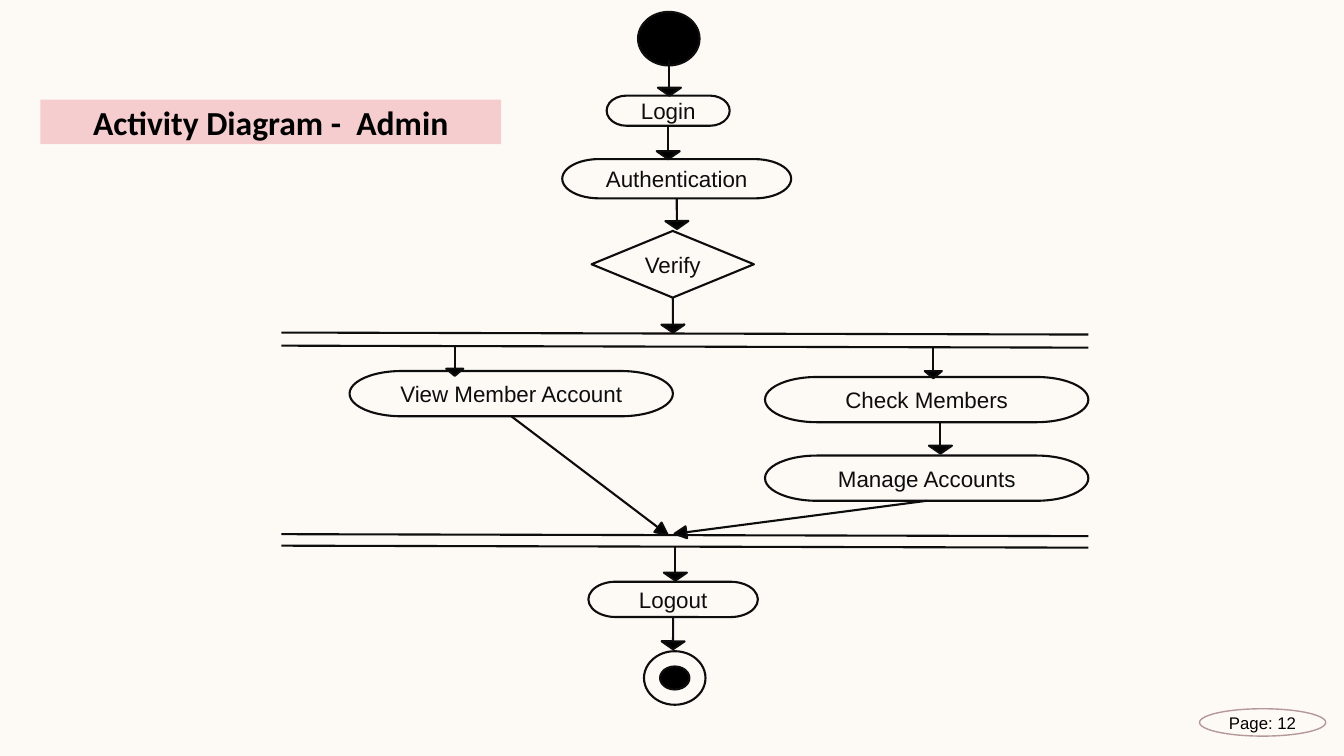
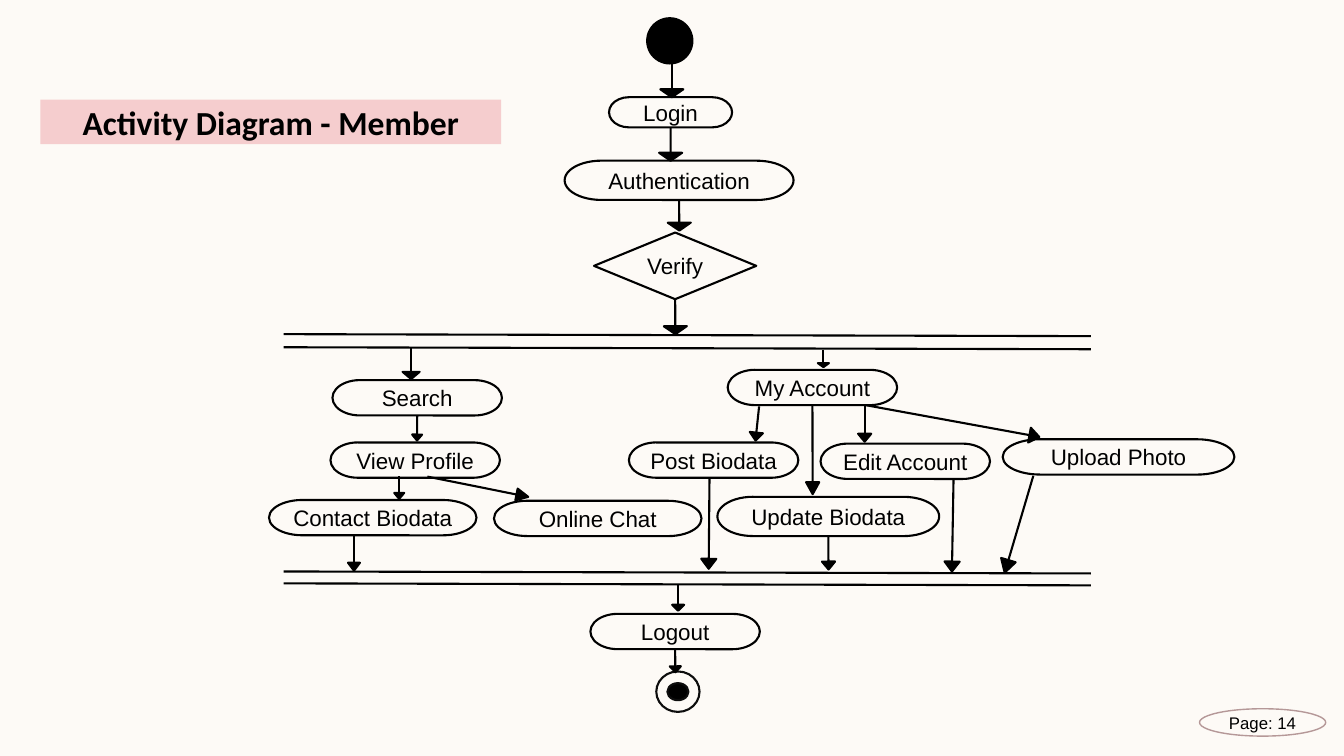
import math

import pptx
import pptx.util
import pptx.dml.color
import pptx.enum.shapes
import pptx.enum.text
import pptx.oxml.ns
from lxml import etree

Cm, Pt = pptx.util.Cm, pptx.util.Pt
SHAPE = pptx.enum.shapes.MSO_SHAPE
MIDDLE = pptx.enum.text.MSO_ANCHOR.MIDDLE
CENTER = pptx.enum.text.PP_ALIGN.CENTER
BOTTOM_SIDE = 2

COLORS = {
    name: pptx.dml.color.RGBColor.from_string(value)
    for name, value in {
        "paper": "FDFAF6",
        "title band": "F5CDCE",
        "page ring": "B59898",
        "black": "000000",
        "soft black": "0D0D0D",
    }.items()
}

# Lengths are centimetres. Steps: name -> left, top, width, height.
BAR_LEFT, BAR_RIGHT, BAR_TILT = 7.09, 27.43, 0.05
FORK_BARS = (8.38, 8.71)
WIDE_HEAD = (0.58, 0.2)
LOGIN_STEPS = {
    "Login": (15.29, 2.41, 3.1, 0.76),
    "Authentication": (14.17, 4.01, 5.77, 0.99),
    "Verify": (14.91, 5.82, 4.09, 1.68),
}
# Arrows: start (a point, or the step whose bottom it leaves), tip, head size.
LOGIN_ARROWS = [
    ((16.87, 1.5), (16.87, 2.41), WIDE_HEAD),
    ("Login", (16.84, 4.01), WIDE_HEAD),
    ("Authentication", (17.06, 5.77), WIDE_HEAD),
    ("Verify", (16.96, 8.38), WIDE_HEAD),
]

DIAGRAMS = [
    {
        "title": "Activity Diagram -  Admin",
        "number": 12,
        "ink": "soft black",
        "shift": (0, 0),
        "start": (16.08, 0.3, 1.55, 1.35),
        "join bars": (13.46, 13.75),
        "end": (16.23, 16.41, 1.55, 1.35),
        "end dot": (0.74, 0.58),
        "steps": {
            "View Member Account": (8.81, 9.35, 8.15, 1.14),
            "Check Members": (19.28, 9.5, 8.15, 1.14),
            "Manage Accounts": (19.28, 11.48, 8.15, 1.14),
            "Logout": (14.83, 14.66, 4.27, 0.89),
        },
        "arrows": [
            ((11.46, 8.73), (11.46, 9.47), (0.43, 0.18)),
            ((23.52, 8.75), (23.52, 9.53), (0.43, 0.18)),
            ("View Member Account", (16.82, 13.47), (0.3, 0.3)),
            ((23.7, 10.64), (23.7, 11.43), WIDE_HEAD),
            ("Manage Accounts", (17, 13.45), (0.3, 0.3)),
            ((17.02, 13.78), (17.02, 14.63), WIDE_HEAD),
            ("Logout", (16.96, 16.36), WIDE_HEAD),
        ],
    },
    {
        "title": "Activity Diagram - Member",
        "number": 14,
        "ink": "black",
        "shift": (0.06, 0.04),
        "start": (16.31, 0.46, 1.14, 1.14),
        "join bars": (14.4, 14.7),
        "end": (16.54, 16.92, 1.09, 1.02),
        "end dot": (0.53, 0.43),
        "steps": {
            "Search": (8.38, 9.58, 4.27, 0.89),
            "My Account": (18.34, 9.32, 4.27, 0.89),
            "View Profile": (8.33, 11.15, 4.27, 0.89),
            "Post Biodata": (15.85, 11.15, 4.27, 0.89),
            "Edit Account": (20.68, 11.18, 4.27, 0.89),
            "Upload Photo": (25.27, 11.07, 5.84, 0.89),
            "Contact Biodata": (6.78, 12.6, 5.23, 0.89),
            "Online Chat": (12.45, 12.62, 5.23, 0.89),
            "Update Biodata": (18.08, 12.52, 5.59, 0.99),
            "Logout": (14.88, 15.47, 4.27, 0.89),
        },
        "arrows": [
            ((10.36, 8.75), (10.36, 9.55), (0.43, 0.18)),
            ("Search", (10.51, 11.1), (0.25, 0.15)),
            ((10.06, 12), (10.06, 12.57), (0.25, 0.15)),
            ((10.77, 12.01), (13.31, 12.52), (0.3, 0.3)),
            ((8.92, 13.49), (8.92, 14.38), (0.3, 0.2)),
            ((20.75, 8.81), (20.75, 9.25), (0.28, 0.1)),
            ((21.82, 10.21), (26.19, 11.01), (0.38, 0.25)),
            ((19.13, 10.24), (19.04, 11.1), (0.33, 0.2)),
            ("My Account", (20.48, 12.45), (0.33, 0.3)),
            ((21.79, 10.24), (21.79, 11.13), (0.33, 0.2)),
            ((26.04, 11.99), (25.32, 14.43), (0.38, 0.33)),
            ((24.03, 12.07), (23.99, 14.4), (0.38, 0.25)),
            ((17.88, 12.04), (17.86, 14.33), (0.38, 0.25)),
            ("Update Biodata", (20.88, 14.35), (0.33, 0.2)),
            ((17.09, 14.73), (17.09, 15.39), (0.3, 0.15)),
            ("Logout", (17.02, 16.94), (0.28, 0.15)),
        ],
    },
]


def draw_shape(page, kind, box, ink, filled=False, text=None, size=16, width=1.5):
    """Add an outlined shape, solid black if filled, with centred text."""
    shape = page.shapes.add_shape(kind, *(Cm(length) for length in box))
    shape.shadow.inherit = False
    shape.line.color.rgb = COLORS[ink]
    shape.line.width = Pt(width)
    if filled:
        shape.fill.solid()
        shape.fill.fore_color.rgb = COLORS["black"]
    else:
        shape.fill.background()
    if text:
        frame = shape.text_frame
        frame.text = text
        frame.word_wrap = False
        frame.vertical_anchor = MIDDLE
        frame.margin_left = frame.margin_right = 0
        frame.margin_top = frame.margin_bottom = 0
        para = frame.paragraphs[0]
        para.alignment = CENTER
        para.font.name = "Arial"
        para.font.size = Pt(size)
        para.font.color.rgb = COLORS["black" if ink == "page ring" else ink]
    return shape


def draw_line(page, start, end, ink):
    line = page.shapes.add_connector(
        pptx.enum.shapes.MSO_CONNECTOR.STRAIGHT, *(Cm(v) for v in (*start, *end))
    )
    line.line.color.rgb = COLORS[ink]
    line.line.width = Pt(1.5)
    etree.SubElement(line._element.spPr, pptx.oxml.ns.qn("a:effectLst"))
    return line


deck = pptx.Presentation()
deck.slide_width, deck.slide_height = Cm(33.87), Cm(19.05)
background = deck.slide_master.background.fill
background.solid()
background.fore_color.rgb = COLORS["paper"]
title_only = deck.slide_layouts.get_by_name("Title Only")

for diagram in DIAGRAMS:
    page = deck.slides.add_slide(title_only)
    ink = diagram["ink"]
    dx, dy = diagram["shift"]

    title = page.shapes.title
    title.left, title.top, title.width, title.height = (
        Cm(v) for v in (1.02, 2.51, 11.61, 1.12)
    )
    title.fill.solid()
    title.fill.fore_color.rgb = COLORS["title band"]
    title.text_frame.text = diagram["title"]
    title.text_frame.vertical_anchor = MIDDLE
    para = title.text_frame.paragraphs[0]
    para.alignment = CENTER
    para.font.name = "Calibri"
    para.font.size = Pt(24)
    para.font.bold = True
    para.font.color.rgb = COLORS["black"]

    draw_shape(page, SHAPE.OVAL, (30.23, 17.86, 3.18, 0.69), "page ring",
               text=f"Page: {diagram['number']}", size=12, width=1)

    # Start and end markers
    draw_shape(page, SHAPE.OVAL, diagram["start"], ink, filled=True)
    left, top, width, height = diagram["end"]
    dot_width, dot_height = diagram["end dot"]
    dot = (left + (width - dot_width) / 2, top + (height - dot_height) / 2,
           dot_width, dot_height)
    draw_shape(page, SHAPE.OVAL, diagram["end"], "soft black")
    draw_shape(page, SHAPE.OVAL, dot, "soft black", filled=True)

    # Fork and join bars
    for y in [y + dy for y in FORK_BARS] + list(diagram["join bars"]):
        draw_line(page, (BAR_LEFT + dx, y), (BAR_RIGHT + dx, y + BAR_TILT), ink)

    # Steps
    boxes = {name: (left + dx, top + dy, width, height)
             for name, (left, top, width, height) in LOGIN_STEPS.items()}
    boxes.update(diagram["steps"])
    steps = {}
    for name, box in boxes.items():
        kind = (SHAPE.FLOWCHART_DECISION if name == "Verify"
                else SHAPE.FLOWCHART_TERMINATOR)
        steps[name] = draw_shape(page, kind, box, ink, text=name)

    # Arrows: a shaft up to the base of a triangle turned along it
    arrows = []
    for start, (x, y), head in LOGIN_ARROWS:
        if start not in steps:
            start = (start[0] + dx, start[1] + dy)
        arrows.append((start, (x + dx, y + dy), head))
    for start, tip, (head_width, head_length) in arrows + diagram["arrows"]:
        source = steps.get(start)
        if source:
            left, top, width, height = boxes[start]
            start = (left + width / 2, top + height)
        angle = math.atan2(tip[1] - start[1], tip[0] - start[0])
        along = (math.cos(angle), math.sin(angle))
        base = [t - head_length * a for t, a in zip(tip, along)]
        middle = [t - head_length / 2 * a for t, a in zip(tip, along)]
        shaft = draw_line(page, start, base, ink)
        if source:
            shaft.begin_connect(source, BOTTOM_SIDE)
        triangle = draw_shape(
            page, SHAPE.FLOWCHART_EXTRACT,
            (middle[0] - head_width / 2, middle[1] - head_length / 2,
             head_width, head_length),
            ink, filled=True)
        triangle.rotation = math.degrees(angle) + 90

deck.save("out.pptx")
